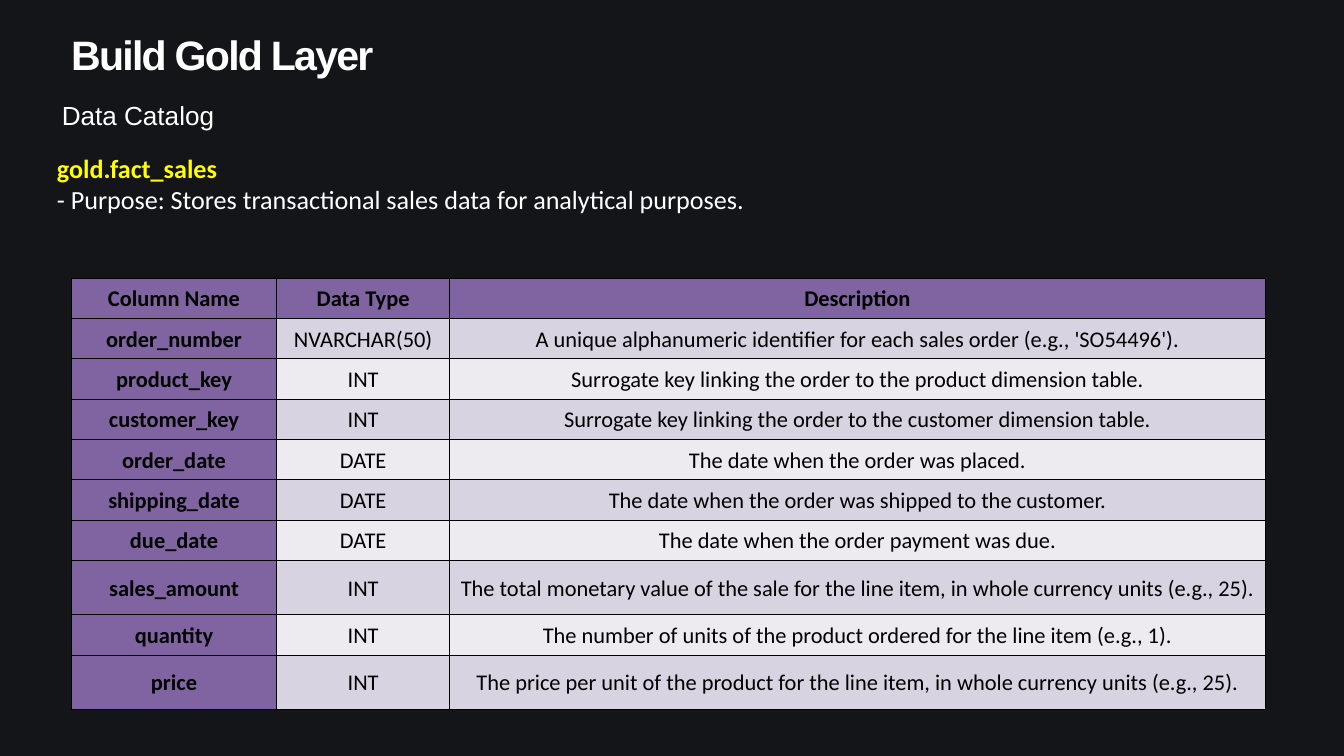
from lxml.etree import SubElement
from pptx import Presentation
from pptx.dml.color import RGBColor
from pptx.enum.text import MSO_ANCHOR, MSO_AUTO_SIZE, PP_ALIGN
from pptx.oxml.ns import qn
from pptx.util import Pt

PURPLE = "8064A2"
BANDS = ("D8D3E0", "EDEAF0")
COLUMN_WIDTHS = (220.3, 185, 874.1)
ROW_HEIGHT = 43.2
TALL_ROW_HEIGHT = 58.3
TALL_ROWS = ("sales_amount", "price")
CATALOG = (
    ("Column Name", "Data Type", "Description"),
    ("order_number", "NVARCHAR(50)", "A unique alphanumeric identifier for each sales order (e.g., 'SO54496')."),
    ("product_key", "INT", "Surrogate key linking the order to the product dimension table."),
    ("customer_key", "INT", "Surrogate key linking the order to the customer dimension table."),
    ("order_date", "DATE", "The date when the order was placed."),
    ("shipping_date", "DATE", "The date when the order was shipped to the customer."),
    ("due_date", "DATE", "The date when the order payment was due."),
    ("sales_amount", "INT", "The total monetary value of the sale for the line item, in whole currency units (e.g., 25)."),
    ("quantity", "INT", "The number of units of the product ordered for the line item (e.g., 1)."),
    ("price", "INT", "The price per unit of the product for the line item, in whole currency units (e.g., 25)."),
)


def color(value):
    return RGBColor.from_string(value)


def style(span, size, name, value, bold=False):
    span.font.size = Pt(size)
    span.font.name = name
    span.font.color.rgb = color(value)
    span.font.bold = bold


def add_text(page, box, text):
    frame = page.shapes.add_textbox(*map(Pt, box)).text_frame
    frame.word_wrap = True
    frame.auto_size = MSO_AUTO_SIZE.SHAPE_TO_FIT_TEXT
    frame.text = text
    return frame


def add_heading(page, box, text, size, bold=False, tracking=0):
    frame = add_text(page, box, text)
    frame.margin_left = frame.margin_right = 0
    frame.margin_top = frame.margin_bottom = 0
    para = frame.paragraphs[0]
    para.line_spacing = Pt(17.9)
    span = para.runs[0]
    style(span, size, "Arial", "FFFFFF", bold)
    if tracking:
        span.font._element.set("spc", str(round(tracking * 100)))


def add_purpose(page, box, table_name, purpose):
    para = add_text(page, box, "").paragraphs[0]
    para.text = f"{table_name}\v{purpose}"
    name_span, purpose_span = para.runs
    style(name_span, 28, "Calibri", "FFFF00", True)
    style(purpose_span, 28, "Calibri", "FFFFFF")


def add_borders(cell):
    properties = cell._tc.get_or_add_tcPr()
    for side in ("a:lnL", "a:lnR", "a:lnT", "a:lnB"):
        line = SubElement(properties, qn(side), w=str(Pt(1)))
        fill = SubElement(line, qn("a:solidFill"))
        SubElement(fill, qn("a:srgbClr"), val="000000")


def fill_cell(cell, text, background, bold):
    add_borders(cell)
    cell.fill.solid()
    cell.fill.fore_color.rgb = color(background)
    cell.vertical_anchor = MSO_ANCHOR.MIDDLE
    cell.margin_left = cell.margin_right = Pt(3.6)
    cell.margin_top = cell.margin_bottom = 0
    para = cell.text_frame.paragraphs[0]
    para.text = text
    para.alignment = PP_ALIGN.CENTER
    para.line_spacing = 1.07
    para.space_after = Pt(12)
    style(para.runs[0], 24, "Calibri", "000000", bold)


def add_catalog(page, box):
    shape = page.shapes.add_table(len(CATALOG), len(COLUMN_WIDTHS), *map(Pt, box))
    table = shape.table
    for column, width in zip(table.columns, COLUMN_WIDTHS):
        column.width = Pt(width)
    for row_index, values in enumerate(CATALOG):
        tall = values[0] in TALL_ROWS
        table.rows[row_index].height = Pt(TALL_ROW_HEIGHT if tall else ROW_HEIGHT)
        for column_index, text in enumerate(values):
            header = row_index == 0 or column_index == 0
            background = PURPLE if header else BANDS[(row_index - 1) % 2]
            fill_cell(table.cell(row_index, column_index), text, background, header)


def main():
    deck = Presentation()
    deck.slide_width, deck.slide_height = Pt(1440), Pt(810)
    page = deck.slides.add_slide(deck.slide_layouts[6])
    page.background.fill.solid()
    page.background.fill.fore_color.rgb = color("141519")
    add_heading(page, (76.3, 66.2, 1113.8, 24.5), "Build Gold Layer", 44, True, -1.9)
    add_heading(page, (66.2, 122.4, 758.2, 20.2), "Data Catalog", 28)
    add_purpose(page, (54, 159.8, 991.4, 74.9), "gold.fact_sales",
                "- Purpose: Stores transactional sales data for analytical purposes.")
    add_catalog(page, (76.3, 298.1, 1279.4, 460.8))
    deck.save("out.pptx")


if __name__ == "__main__":
    main()
